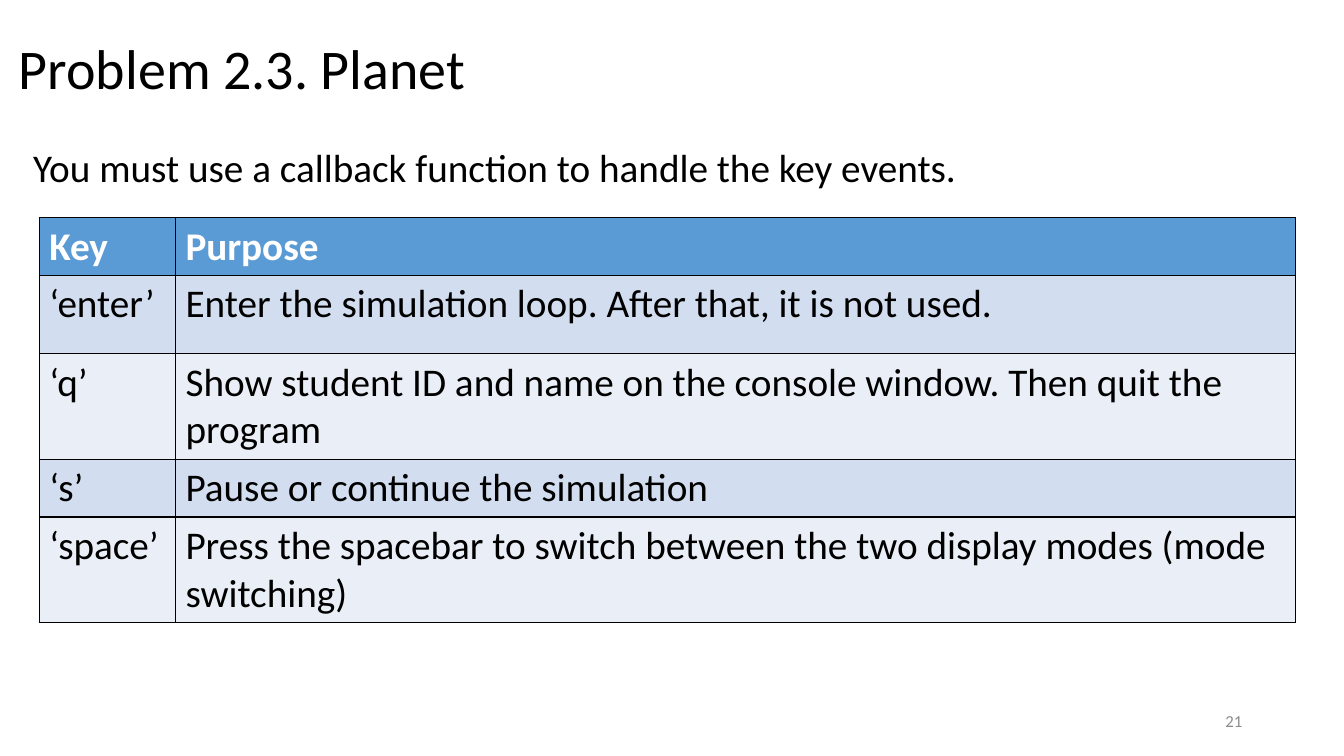
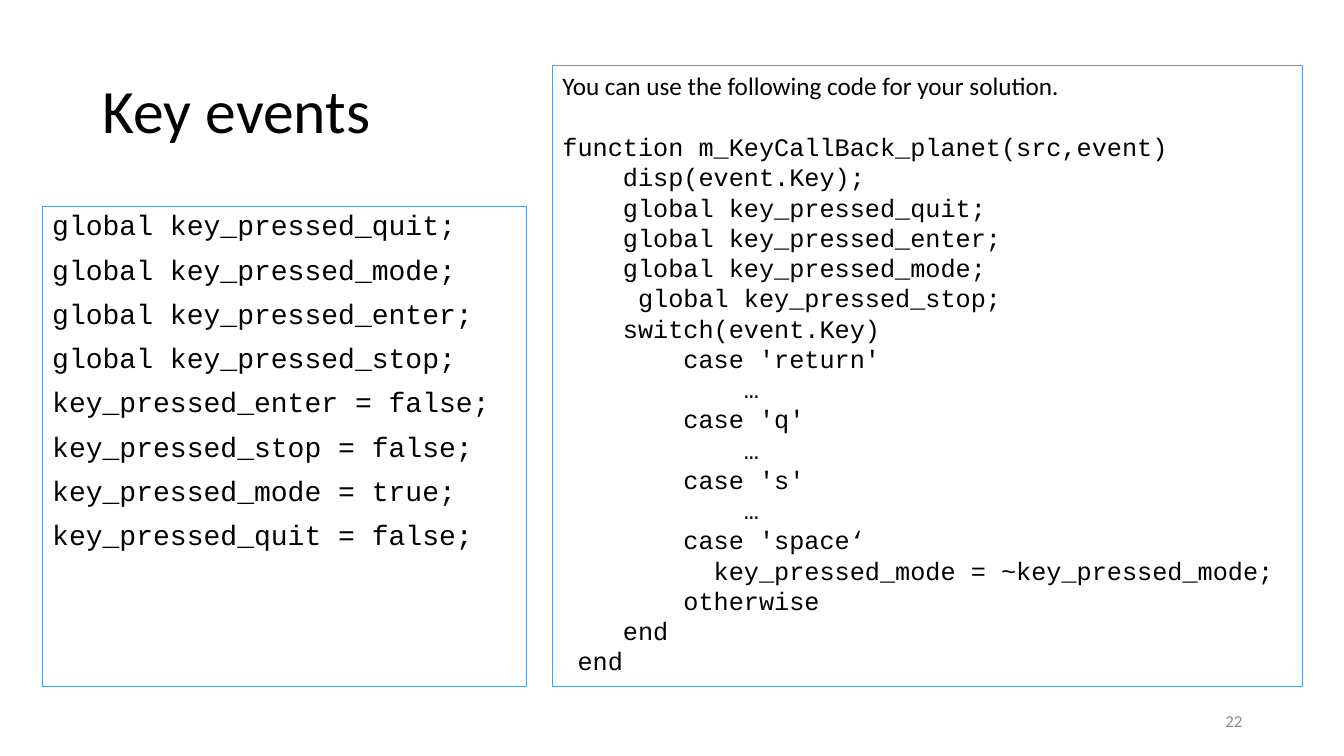
"""Build two slides on handling key events in the planet problem."""
from dataclasses import dataclass

from lxml import etree
from pptx import Presentation
from pptx.dml.color import RGBColor
from pptx.enum.shapes import MSO_SHAPE
from pptx.enum.text import MSO_ANCHOR, PP_ALIGN
from pptx.oxml.ns import qn
from pptx.util import Inches, Pt

RECT = MSO_SHAPE.RECTANGLE
TOP, MIDDLE = MSO_ANCHOR.TOP, MSO_ANCHOR.MIDDLE
LEFT, RIGHT = PP_ALIGN.LEFT, PP_ALIGN.RIGHT


@dataclass(frozen=True)
class Theme:
    text: str = "000000"
    header_text: str = "FFFFFF"
    muted: str = "8C8C8C"
    accent: str = "5B9BD5"
    bands: tuple = ("D2DEEF", "EAEFF7")
    font: str = "Calibri"
    code_font: str = "Courier New"
    title: int = 44
    small_title: int = 40
    body: int = 28
    globals_code: int = 20
    callback_code: int = 18
    number: int = 12


T = Theme()
FIRST_NUMBER = 21

INTRO = "You must use a callback function to handle the key events."
KEYS = [
    ("Key", "Purpose"),
    ("‘enter’", "Enter the simulation loop. After that, it is not used."),
    ("‘q’", "Show student ID and name on the console window. Then quit the program"),
    ("‘s’", "Pause or continue the simulation"),
    ("‘space’", "Press the spacebar to switch between the two display modes (mode switching)"),
]
COLUMNS = (1.35, 11.11)
ROWS = (0.57, 0.78, 1.05, 0.57, 1.05)

GLOBALS = """global key_pressed_quit;
global key_pressed_mode;
global key_pressed_enter;
global key_pressed_stop;
key_pressed_enter = false;
key_pressed_stop = false;
key_pressed_mode = true;
key_pressed_quit = false;"""

CALLBACK_INTRO = "You can use the following code for your solution."
CALLBACK = """function m_KeyCallBack_planet(src,event)
    disp(event.Key);
    global key_pressed_quit;
    global key_pressed_enter;
    global key_pressed_mode;
     global key_pressed_stop;
    switch(event.Key)
        case 'return'
            …
        case 'q'
            …
        case 's'
            …
        case 'space‘
          key_pressed_mode = ~key_pressed_mode;
        otherwise
    end
 end"""


def write(tf, text, size=T.body, font=T.font, color=T.text, bold=False,
          align=LEFT, anchor=TOP, spacing=1.0, before=0, append=False, gap=0):
    """Write each line of text as a paragraph, with gap above an appended block."""
    tf.word_wrap = True
    tf.vertical_anchor = anchor
    for i, line in enumerate(text.split("\n")):
        first = i == 0 and not append
        p = tf.paragraphs[0] if first else tf.add_paragraph()
        p.alignment = align
        p.line_spacing = spacing
        p.space_before = Pt(0 if first else gap if i == 0 else before)
        r = p.add_run()
        r.text = line
        r.font.size, r.font.name, r.font.bold = Pt(size), font, bold
        r.font.color.rgb = RGBColor.from_string(color)


def add_text(s, box, text, **fmt):
    sp = s.shapes.add_textbox(*map(Inches, box))
    write(sp.text_frame, text, **fmt)


def add_frame(s, box):
    sp = s.shapes.add_shape(RECT, *map(Inches, box))
    sp.shadow.inherit = False
    sp.fill.background()
    sp.line.color.rgb = RGBColor.from_string(T.accent)
    sp.line.width = Pt(0.75)
    return sp.text_frame


def add_borders(cell):
    tc_pr = cell._tc.get_or_add_tcPr()
    for side in ("lnL", "lnR", "lnT", "lnB"):
        ln = etree.SubElement(tc_pr, qn(f"a:{side}"), w=str(Pt(1)))
        fill = etree.SubElement(ln, qn("a:solidFill"))
        etree.SubElement(fill, qn("a:srgbClr"), val=T.text)


def add_key_table(s, left, top):
    box = (left, top, sum(COLUMNS), sum(ROWS))
    table = s.shapes.add_table(len(KEYS), len(COLUMNS), *map(Inches, box)).table
    for column, width in zip(table.columns, COLUMNS):
        column.width = Inches(width)
    for i, (row, height, texts) in enumerate(zip(table.rows, ROWS, KEYS)):
        row.height = Inches(height)
        header = i == 0
        fill = T.accent if header else T.bands[(i - 1) % 2]
        for cell, text in zip(row.cells, texts):
            add_borders(cell)
            cell.fill.solid()
            cell.fill.fore_color.rgb = RGBColor.from_string(fill)
            write(cell.text_frame, text, bold=header,
                  color=T.header_text if header else T.text)


def add_slide(prs, title, box, size):
    s = prs.slides.add_slide(prs.slide_layouts[6])
    add_text(s, box, title, size=size, anchor=MIDDLE, spacing=0.9)
    number = FIRST_NUMBER + len(prs.slides) - 1
    add_text(s, (9.42, 6.95, 3, 0.4), str(number), size=T.number,
             color=T.muted, align=RIGHT, anchor=MIDDLE)
    return s


def build_planet(prs):
    s = add_slide(prs, "Problem 2.3. Planet", (0.09, -0.02, 13.24, 1.45), T.small_title)
    add_text(s, (0.23, 1.43, 12.89, 0.6), INTRO, spacing=0.9)
    add_key_table(s, 0.39, 2.16)


def build_key_events(prs):
    s = add_slide(prs, "Key events", (0.92, 0.4, 4.3, 1.45), T.title)
    write(add_frame(s, (0.42, 2.05, 4.8, 4.76)), GLOBALS, size=T.globals_code,
          font=T.code_font, spacing=0.9, before=10)
    tf = add_frame(s, (5.48, 0.65, 7.44, 6.16))
    write(tf, CALLBACK_INTRO, size=T.callback_code)
    write(tf, CALLBACK, size=T.callback_code, font=T.code_font, append=True, gap=22)


def main():
    prs = Presentation()
    prs.slide_width, prs.slide_height = Inches(13.33), Inches(7.5)
    build_planet(prs)
    build_key_events(prs)
    prs.save("out.pptx")


if __name__ == "__main__":
    main()
